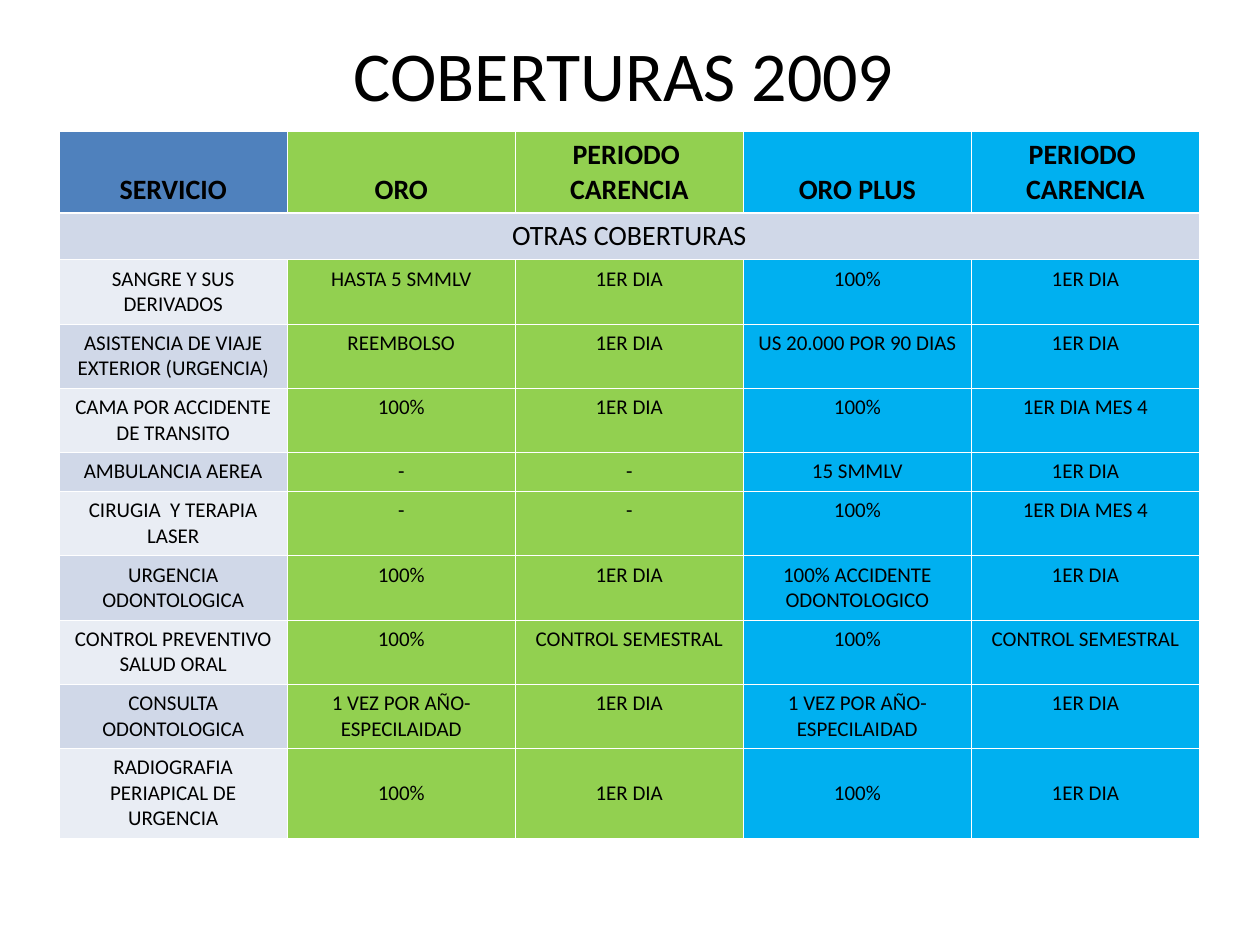
from lxml import etree
from pptx import Presentation
from pptx.dml.color import RGBColor
from pptx.enum import text
from pptx.oxml import ns
from pptx.util import Inches, Pt

# Content
TITLE = "COBERTURAS 2009"
HEADERS = ["SERVICIO", "ORO", "PERIODO  CARENCIA", "ORO PLUS", "PERIODO  CARENCIA"]
SECTION = "OTRAS COBERTURAS"
SERVICES = [
    ("SANGRE Y SUS DERIVADOS", "HASTA 5 SMMLV", "1ER DIA", "100%", "1ER DIA"),
    ("ASISTENCIA DE VIAJE EXTERIOR (URGENCIA)", "REEMBOLSO", "1ER DIA",
     "US 20.000 POR 90 DIAS", "1ER DIA"),
    ("CAMA POR ACCIDENTE DE TRANSITO", "100%", "1ER DIA", "100%", "1ER DIA MES 4"),
    ("AMBULANCIA AEREA", "-", "-", "15 SMMLV", "1ER DIA"),
    ("CIRUGIA  Y TERAPIA LASER", "-", "-", "100%", "1ER DIA MES 4"),
    ("URGENCIA ODONTOLOGICA", "100%", "1ER DIA", "100% ACCIDENTE ODONTOLOGICO", "1ER DIA"),
    ("CONTROL PREVENTIVO SALUD ORAL", "100%", "CONTROL SEMESTRAL", "100%",
     "CONTROL SEMESTRAL"),
    ("CONSULTA ODONTOLOGICA", "1 VEZ POR AÑO-ESPECILAIDAD", "1ER DIA",
     "1 VEZ POR AÑO-ESPECILAIDAD", "1ER DIA"),
    ("RADIOGRAFIA PERIAPICAL DE URGENCIA", "100%", "1ER DIA", "100%", "1ER DIA"),
]
ROWS = [HEADERS, (SECTION, "", "", "", "")] + SERVICES
ROW_HEIGHTS = [0.65, 0.37, 0.51, 0.51, 0.51, 0.31, 0.51, 0.51, 0.51, 0.51, 0.71]
COLUMN_WIDTH = 1.81

# Colours
BLACK = RGBColor(0x00, 0x00, 0x00)
WHITE = RGBColor(0xFF, 0xFF, 0xFF)
BLUE = RGBColor(0x4F, 0x81, 0xBD)
GREEN = RGBColor(0x92, 0xD0, 0x50)
CYAN = RGBColor(0x00, 0xB0, 0xF0)
BAND_DARK = RGBColor(0xD0, 0xD8, 0xE8)
BAND_LIGHT = RGBColor(0xE9, 0xED, 0xF4)
PLAN_FILLS = [BLUE, GREEN, GREEN, CYAN, CYAN]

THIN, THICK = 0.45, 1.47


def write(frame, words, size, bold=False):
    frame.word_wrap = True
    para = frame.paragraphs[0]
    para.alignment = text.PP_ALIGN.CENTER
    span = para.add_run()
    span.text = words
    span.font.color.rgb = BLACK
    for name, value in {"name": "Calibri", "size": Pt(size), "bold": bold}.items():
        setattr(span.font, name, value)


def add_borders(cell, top, bottom):
    properties = cell._tc.get_or_add_tcPr()
    for side, width in {"L": THIN, "R": THIN, "T": top, "B": bottom}.items():
        line = etree.SubElement(properties, ns.qn(f"a:ln{side}"), w=str(Pt(width)))
        fill = etree.SubElement(line, ns.qn("a:solidFill"))
        etree.SubElement(fill, ns.qn("a:srgbClr"), val=str(WHITE))


def cell_fill(row, column):
    if row == 0 or (row > 1 and column > 0):
        return PLAN_FILLS[column]
    return BAND_DARK if row % 2 else BAND_LIGHT


def cell_anchor(row, column):
    if row == 0:
        return text.MSO_ANCHOR.BOTTOM
    if row == len(ROWS) - 1 and column > 0:
        return text.MSO_ANCHOR.MIDDLE
    return text.MSO_ANCHOR.TOP


deck = Presentation()
deck.slide_width, deck.slide_height = Inches(10), Inches(7.5)
page = deck.slides.add_slide(deck.slide_layouts[5])

# Title
title = page.shapes.title
title.left, title.top = Inches(0.7), Inches(0.23)
title.width, title.height = Inches(8.5), Inches(0.7)
title.text_frame.vertical_anchor = text.MSO_ANCHOR.MIDDLE
write(title.text_frame, TITLE, 40)

# Coverage table
table = page.shapes.add_table(
    len(ROWS), len(HEADERS), Inches(0.47), Inches(1.04),
    Inches(COLUMN_WIDTH * len(HEADERS)), Inches(sum(ROW_HEIGHTS))).table
for column in table.columns:
    column.width = Inches(COLUMN_WIDTH)
for row, height in zip(table.rows, ROW_HEIGHTS):
    row.height = Inches(height)

for r, entries in enumerate(ROWS):
    for c, words in enumerate(entries):
        cell = table.cell(r, c)
        add_borders(cell, THICK if r == 1 else THIN, THICK if r == 0 else THIN)
        cell.fill.solid()
        cell.fill.fore_color.rgb = cell_fill(r, c)
        cell.vertical_anchor = cell_anchor(r, c)
        if words:
            write(cell.text_frame, words, 16 if r < 2 else 12, bold=r == 0)

# Section row spans every column
table.cell(1, 0).merge(table.cell(1, len(HEADERS) - 1))

deck.save("out.pptx")
